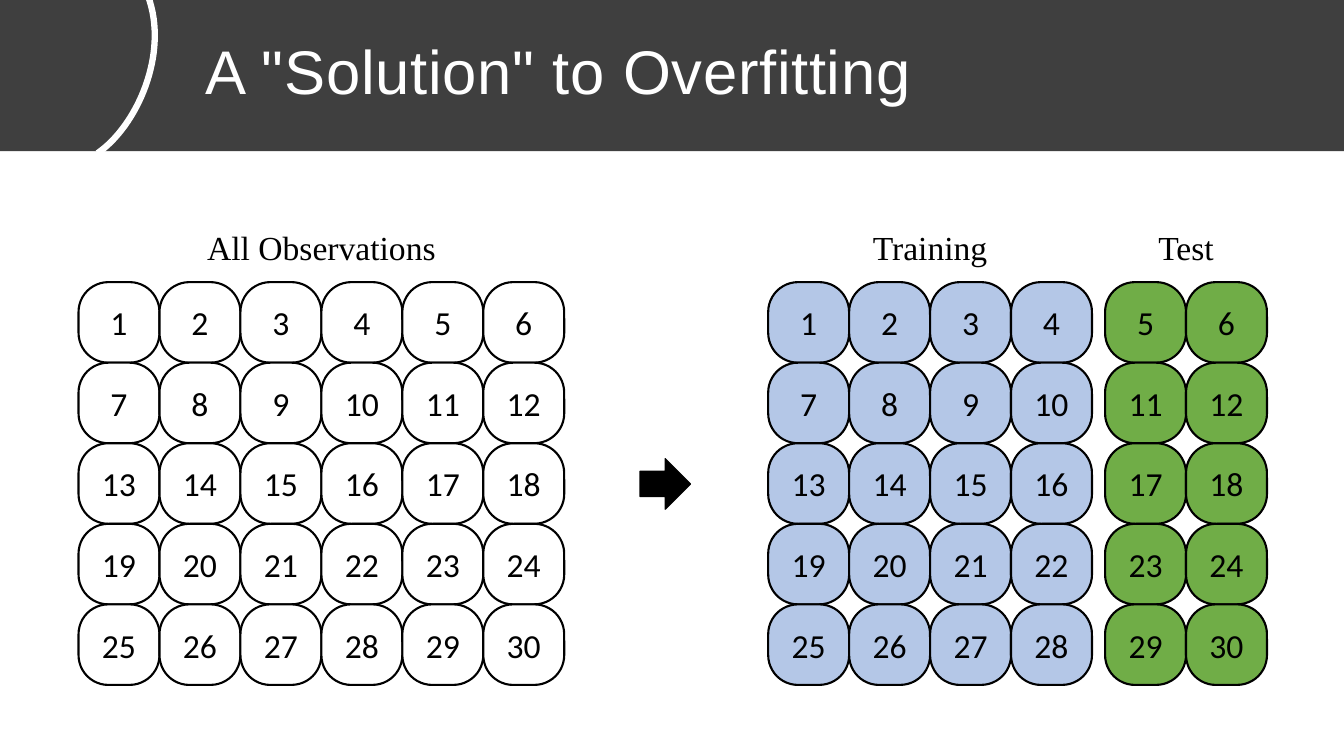
from pptx import Presentation
from pptx import util as u
from pptx.dml import color
from pptx.enum import shapes, text

WHITE, BLACK = "FFFFFF", "000000"
CELL_WIDTH, CELL_HEIGHT = 2.04, 2.03
ROWS, COLUMNS = 5, 6


def rgb(value):
    """Turn a hex string into a colour."""
    return color.RGBColor.from_string(value)


def paint(shape, fill, line=None, weight=1):
    """Give a shape its fill and outline without a shadow."""
    shape.shadow.inherit = False
    if fill:
        shape.fill.solid()
        shape.fill.fore_color.rgb = rgb(fill)
    else:
        shape.fill.background()
    if line:
        shape.line.color.rgb = rgb(line)
        shape.line.width = u.Pt(weight)
    else:
        shape.line.fill.background()


def write(shape, wording, frame_format, paragraph_format, font_format, ink=BLACK):
    """Write one paragraph into a shape and return its run."""
    frame = shape.text_frame
    paragraph = frame.paragraphs[0]
    run = paragraph.add_run()
    run.text = wording
    for target, values in (
        (frame, {"word_wrap": True, **frame_format}),
        (paragraph, paragraph_format),
        (run.font, font_format),
    ):
        for key, value in values.items():
            setattr(target, key, value)
    run.font.color.rgb = rgb(ink)
    return run


def add_title_band(slide, left, top, width, height):
    """Draw the dark band with its title and white arc."""
    band = slide.shapes.add_shape(
        shapes.MSO_SHAPE.RECTANGLE, u.Cm(left), u.Cm(top), u.Cm(width), u.Cm(height)
    )
    paint(band, "3F3F3F")
    title = slide.shapes.add_textbox(
        u.Cm(left + 3.91), u.Cm(top + 0.05), u.Cm(width - 3.91), u.Cm(height - 0.13)
    )
    run = write(
        title,
        'A "Solution" to Overfitting',
        {
            "vertical_anchor": text.MSO_ANCHOR.MIDDLE,
            "margin_left": u.Cm(1.27),
            "margin_right": u.Cm(1.27),
            "margin_top": 0,
            "margin_bottom": 0,
        },
        {"line_spacing": 0.9},
        {"name": "Arial", "size": u.Pt(44)},
        WHITE,
    )
    run.font._element.set("spc", "50")

    controls = [(2.46, 3.86), (3.45, 3.18), (4.27, 1.35), (3.73, -0.1)]
    steps = 32
    curve = []
    for step in range(steps + 1):
        t = step / steps
        weights = ((1 - t) ** 3, 3 * t * (1 - t) ** 2, 3 * t**2 * (1 - t), t**3)
        x, y = (sum(w * p[axis] for w, p in zip(weights, controls)) for axis in (0, 1))
        curve.append((u.Cm(left + x), u.Cm(top + y)))
    builder = slide.shapes.build_freeform(*curve[0])
    builder.add_line_segments(curve[1:], close=False)
    paint(builder.convert_to_shape(), None, WHITE, 4.5)


def add_observations(canvas, left, top, columns, fill):
    """Draw the numbered cells of the given columns from a top left corner."""
    for row in range(ROWS):
        for place, column in enumerate(columns):
            cell = canvas.add_shape(
                shapes.MSO_SHAPE.ROUNDED_RECTANGLE,
                u.Cm(left + place * CELL_WIDTH),
                u.Cm(top + row * CELL_HEIGHT),
                u.Cm(CELL_WIDTH),
                u.Cm(CELL_HEIGHT),
            )
            cell.adjustments[0] = 0.37
            paint(cell, fill, BLACK, 1.5)
            margins = ("margin_left", "margin_right", "margin_top", "margin_bottom")
            write(
                cell,
                str(row * COLUMNS + column),
                {"vertical_anchor": text.MSO_ANCHOR.MIDDLE, **dict.fromkeys(margins, 0)},
                {"alignment": text.PP_ALIGN.CENTER},
                {"name": "Calibri", "size": u.Pt(24)},
            )


def add_heading(slide, wording, left, top, width):
    """Centre a heading over a set of observations."""
    heading = slide.shapes.add_textbox(u.Cm(left), u.Cm(top), u.Cm(width), u.Cm(1.28))
    write(
        heading,
        wording,
        {"auto_size": text.MSO_AUTO_SIZE.SHAPE_TO_FIT_TEXT},
        {"alignment": text.PP_ALIGN.CENTER},
        {"name": "Times New Roman", "size": u.Pt(24)},
    )


def add_split(slide, left, top):
    """Show all observations beside their training and test parts."""
    everything = slide.shapes.add_group_shape().shapes
    parts = (
        ("All Observations", everything, left, range(1, 7), WHITE),
        ("Training", slide.shapes, left + 17.38, range(1, 5), "B4C7E7"),
        ("Test", slide.shapes, left + 25.87, range(5, 7), "70AD47"),
    )
    for wording, canvas, part_left, columns, fill in parts:
        add_observations(canvas, part_left, top + 1.52, columns, fill)
        add_heading(slide, wording, part_left, top, len(columns) * CELL_WIDTH)
    arrow = slide.shapes.add_shape(
        shapes.MSO_SHAPE.RIGHT_ARROW,
        u.Cm(left + 14.15),
        u.Cm(top + 5.97),
        u.Cm(1.27),
        u.Cm(1.27),
    )
    paint(arrow, BLACK, BLACK)


def main():
    """Build the slide and save it."""
    deck = Presentation()
    deck.slide_width, deck.slide_height = u.Cm(33.87), u.Cm(19.05)
    slide = deck.slides.add_slide(deck.slide_layouts[6])
    add_title_band(slide, 0, 0, 33.87, 3.81)
    add_split(slide, 1.98, 5.59)
    deck.save("out.pptx")


if __name__ == "__main__":
    main()
